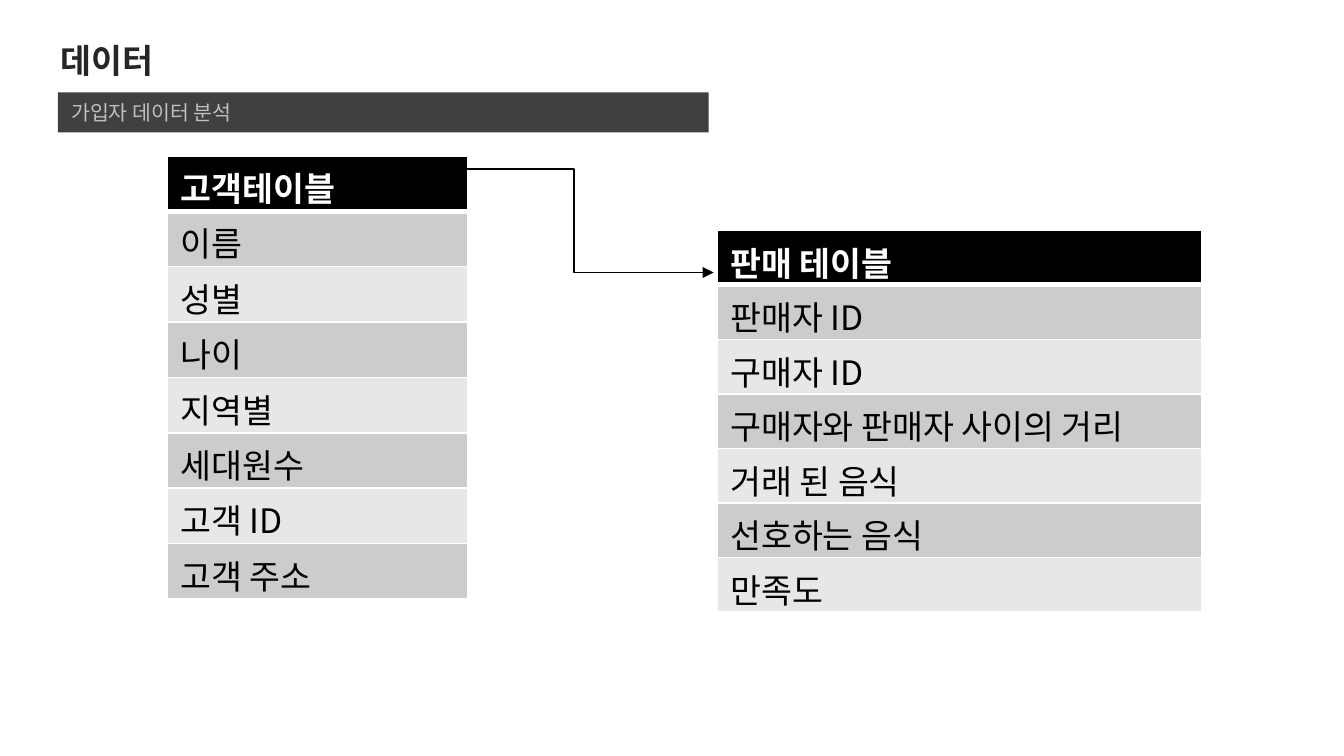
import pptx
import pptx.util
import pptx.dml.color
import pptx.enum.shapes
import pptx.enum.text
import pptx.oxml
import pptx.oxml.ns

Pt = pptx.util.Pt
RGBColor = pptx.dml.color.RGBColor
BLACK = RGBColor(0x00, 0x00, 0x00)
WHITE = RGBColor(0xFF, 0xFF, 0xFF)
TITLE_INK = RGBColor(0x26, 0x26, 0x26)
BANNER_FILL = RGBColor(0x40, 0x40, 0x40)
BANNER_INK = RGBColor(0xBF, 0xBF, 0xBF)
BANDS = [RGBColor(0xE7, 0xE7, 0xE7), RGBColor(0xCC, 0xCC, 0xCC)]
TABLE_FONT = "Noto Sans CJK KR"

# left, top, width, row height, then the header and the field names
TABLES = [
    (89.5, 83.5, 161, 29.7,
     ["고객테이블", "이름", "성별", "나이", "지역별", "세대원수", "고객 ID", "고객 주소"]),
    (384, 123.4, 260, 29.2,
     ["판매 테이블", "판매자 ID", "구매자 ID", "구매자와 판매자 사이의 거리",
      "거래 된 음식", "선호하는 음식", "만족도"]),
]


def add_run(paragraph, text, font_name, size, color, bold=False):
    run = paragraph.add_run()
    run.text = text
    run.font.name = font_name
    run.font.size = Pt(size)
    run.font.bold = bold
    run.font.color.rgb = color


def add_border(cell, side, width):
    """Draw a white line on one side (L, R, T or B) of a cell."""
    cell._tc.get_or_add_tcPr().append(pptx.oxml.parse_xml(
        f'<a:ln{side} {pptx.oxml.ns.nsdecls("a")} w="{Pt(width)}"><a:solidFill>'
        f'<a:srgbClr val="{WHITE}"/></a:solidFill></a:ln{side}>'))


deck = pptx.Presentation()
deck.slide_width = Pt(720)
deck.slide_height = Pt(405)
slide = deck.slides.add_slide(deck.slide_layouts[6])

banner = slide.shapes.add_shape(
    pptx.enum.shapes.MSO_SHAPE.RECTANGLE, Pt(31), Pt(49.5), Pt(348.7), Pt(21.5))
banner.shadow.inherit = False
banner.fill.solid()
banner.fill.fore_color.rgb = BANNER_FILL
banner.line.fill.background()
banner.text_frame.vertical_anchor = pptx.enum.text.MSO_ANCHOR.MIDDLE
banner_line = banner.text_frame.paragraphs[0]
banner_line.alignment = pptx.enum.text.PP_ALIGN.LEFT
add_run(banner_line, "가입자 데이터 분석", "Arial", 11, BANNER_INK)

title = slide.shapes.add_textbox(Pt(25.5), Pt(18), Pt(669), Pt(29))
title.text_frame.word_wrap = True
add_run(title.text_frame.paragraphs[0], "데이터", "Arial", 18, TITLE_INK, bold=True)

for left, top, width, row_height, fields in TABLES:
    table = slide.shapes.add_table(
        len(fields), 1, Pt(left), Pt(top), Pt(width), Pt(row_height * len(fields))).table
    for index, field in enumerate(fields):
        is_header = index == 0
        table.rows[index].height = Pt(row_height)
        cell = table.cell(index, 0)
        for side in "LRTB":
            add_border(cell, side, 3 if is_header and side == "B" else 1)
        cell.fill.solid()
        cell.fill.fore_color.rgb = BLACK if is_header else BANDS[index % 2]
        add_run(cell.text_frame.paragraphs[0], field, TABLE_FONT, 18,
                WHITE if is_header else BLACK, bold=is_header)

link = slide.shapes.add_connector(
    pptx.enum.shapes.MSO_CONNECTOR.ELBOW, Pt(232.5), Pt(90.3), Pt(382.3), Pt(146))
link.line.color.rgb = BLACK
link.line.width = Pt(1)
link.line._get_or_add_ln().append(pptx.oxml.parse_xml(
    f'<a:tailEnd {pptx.oxml.ns.nsdecls("a")} type="triangle"/>'))
link._element.spPr.append(pptx.oxml.parse_xml(
    f'<a:effectLst {pptx.oxml.ns.nsdecls("a")}/>'))

deck.save("out.pptx")
